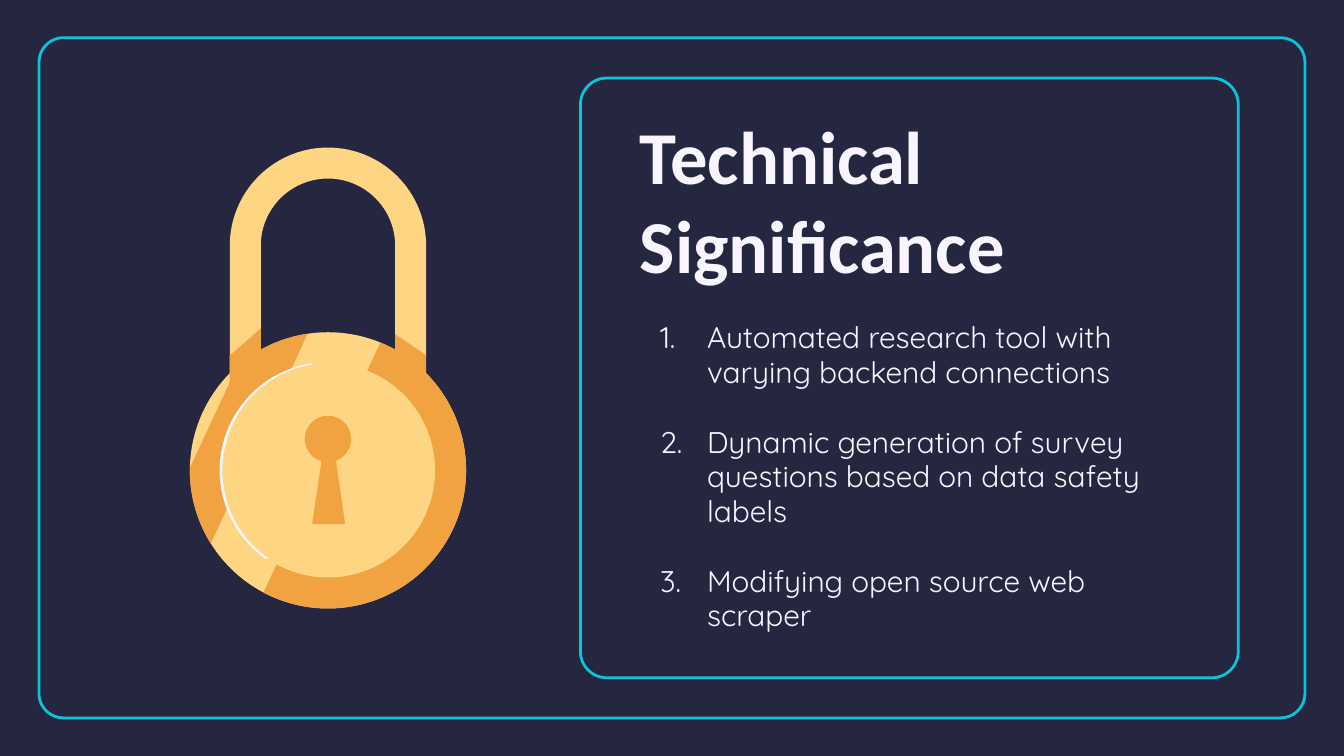
"""Build the Technical Significance slide with a padlock drawing."""
from math import cos, radians, sin

from lxml import etree
from pptx import Presentation
from pptx.dml.color import RGBColor
from pptx.enum import shapes, text
from pptx.oxml import ns
from pptx.util import Pt

NAVY, CYAN, PALE = "252640", "0BC4D9", "F8F5FF"
YELLOW, ORANGE = "FED583", "F2A341"
CENTER_X, BODY_Y, BODY_R = 175.7, 252, 74
SHACKLE_Y, SHACKLE_R, SHACKLE_INNER_R = 131.7, 52.6, 36
ITEMS = [
    "Automated research tool with varying backend connections",
    "Dynamic generation of survey questions based on data safety labels",
    "Modifying open source web scraper",
]


def color(value):
    return RGBColor.from_string(value)


def arc(x, y, radius, start, end, steps=60):
    angles = [radians(start + (end - start) * i / steps) for i in range(steps + 1)]
    return [(x + radius * cos(a), y + radius * sin(a)) for a in angles]


def write(para, words, font, size, bold=False, fill=PALE):
    span = para.add_run()
    span.text = words
    span.font.name, span.font.size, span.font.bold = font, Pt(size), bold
    span.font.color.rgb = color(fill)


class Painter:
    def __init__(self, page):
        self.page = page
        page.background.fill.solid()
        page.background.fill.fore_color.rgb = color(NAVY)

    def finish(self, shape, fill):
        shape.shadow.inherit = False
        shape.fill.solid()
        shape.fill.fore_color.rgb = color(fill)
        shape.line.fill.background()

    def frame(self, left, top, width, height, rounding):
        shape = self.page.shapes.add_shape(
            shapes.MSO_SHAPE.ROUNDED_RECTANGLE, Pt(left), Pt(top), Pt(width), Pt(height))
        shape.adjustments[0] = rounding
        shape.shadow.inherit = False
        shape.fill.background()
        shape.line.color.rgb = color(CYAN)
        shape.line.width = Pt(1.5)

    def circle(self, x, y, radius, fill):
        shape = self.page.shapes.add_shape(
            shapes.MSO_SHAPE.OVAL, Pt(x - radius), Pt(y - radius), Pt(2 * radius), Pt(2 * radius))
        self.finish(shape, fill)

    def outline(self, points, fill):
        corners = [(Pt(x), Pt(y)) for x, y in points]
        builder = self.page.shapes.build_freeform(*corners[0], scale=1.0)
        builder.add_line_segments(corners[1:], close=True)
        self.finish(builder.convert_to_shape(), fill)

    def place(self, box, left, top, width, height):
        box.left, box.top, box.width, box.height = Pt(left), Pt(top), Pt(width), Pt(height)
        frame = box.text_frame
        frame.word_wrap = True
        frame.auto_size = text.MSO_AUTO_SIZE.NONE
        frame.vertical_anchor = text.MSO_ANCHOR.MIDDLE
        frame.margin_left = frame.margin_right = Pt(7.2)
        frame.margin_top = frame.margin_bottom = Pt(7.2)
        return frame

    def title(self, words, *bounds):
        para = self.place(self.page.shapes.title, *bounds).paragraphs[0]
        para.alignment = text.PP_ALIGN.LEFT
        write(para, words, "Calibri", 40, bold=True)

    def numbered_list(self, items, *bounds):
        frame = self.place(self.page.placeholders[1], *bounds)
        for index, item in enumerate(items):
            para = frame.add_paragraph() if index else frame.paragraphs[0]
            para.line_spacing = 0.96
            para.space_before = Pt(19.2 if index else 0)
            props = para._p.get_or_add_pPr()
            props.set("marL", str(Pt(36)))
            props.set("indent", str(Pt(-25.2)))
            tint = etree.SubElement(props, ns.qn("a:buClr"))
            etree.SubElement(tint, ns.qn("a:srgbClr"), val=PALE)
            etree.SubElement(props, ns.qn("a:buFont"), typeface="Quicksand")
            etree.SubElement(props, ns.qn("a:buAutoNum"), type="arabicPeriod")
            write(para, item, "Quicksand", 16)

    def padlock(self):
        left, right = CENTER_X - SHACKLE_R, CENTER_X + SHACKLE_R
        inner_left, inner_right = CENTER_X - SHACKLE_INNER_R, CENTER_X + SHACKLE_INNER_R
        body = (CENTER_X, BODY_Y, BODY_R)
        self.circle(*body, YELLOW)
        self.outline(
            arc(CENTER_X, SHACKLE_Y, SHACKLE_R, 180, 360)
            + [(right, 190.8), (inner_right, 180)]
            + arc(CENTER_X, SHACKLE_Y, SHACKLE_INNER_R, 360, 180)
            + [(inner_left, 179.5), (left, 202)], YELLOW)
        self.outline([(inner_left, 176), (left, 190.5), (left, 206),
                      (127.4, 199.5), (inner_left, 188.5)], ORANGE)
        self.outline([(inner_right, 179), (inner_right, 188.5),
                      (right, 202), (right, 190.3)], ORANGE)
        self.outline(arc(*body, 148, 181) + arc(*body, 229, 261.5), ORANGE)
        self.outline(arc(*body, -67.7, 117.8), ORANGE)
        self.circle(CENTER_X, BODY_Y, 57.4, YELLOW)
        self.outline(arc(CENTER_X, 235.2, 12.4, 106, 430)
                     + [(184.9, 280.8), (167.2, 280.8)], ORANGE)
        self.outline(arc(CENTER_X, BODY_Y, 58, 261, 125)
                     + arc(CENTER_X + 1, BODY_Y, 57.5, 125, 261), PALE)


def main():
    deck = Presentation()
    deck.slide_width, deck.slide_height = Pt(720), Pt(405)
    painter = Painter(deck.slides.add_slide(deck.slide_layouts[1]))
    painter.frame(20.9, 20.2, 678.2, 364.4, 0.036)
    painter.frame(311, 41.8, 352.4, 321.3, 0.044)
    painter.numbered_list(ITEMS, 335.6, 162.8, 303, 186)
    painter.padlock()
    painter.title("Technical Significance", 335.6, 79.4, 285.2, 54.8)
    deck.save("out.pptx")


if __name__ == "__main__":
    main()
